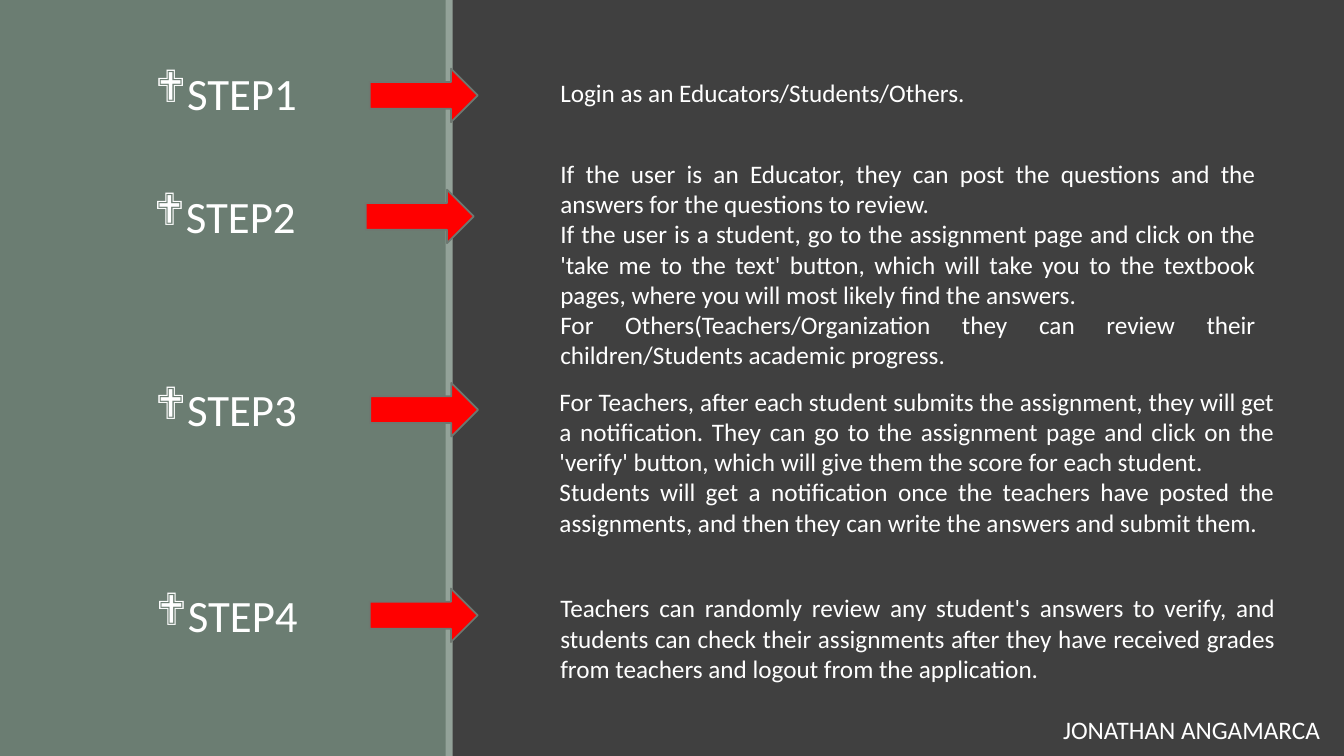
"""Build the four-step user guide slide."""
from lxml.etree import SubElement
from pptx import Presentation
from pptx.dml.color import RGBColor
from pptx.enum.shapes import MSO_SHAPE as Preset
from pptx.enum.text import PP_ALIGN as Align
from pptx.oxml.ns import qn
from pptx.util import Cm, Pt

FONT = "Calibri"
CHARCOAL = RGBColor(0x40, 0x40, 0x40)
SAGE = RGBColor(0x6B, 0x7D, 0x72)
PALE_SAGE = RGBColor(0x93, 0xA2, 0x99)
ARROW_EDGE = RGBColor(0x6D, 0x78, 0x71)
RED = RGBColor(0xFF, 0x00, 0x00)
WHITE = RGBColor(0xFF, 0xFF, 0xFF)

STEPS = [
    {"name": "STEP1", "label": (3.66, 1.52), "arrow": (9.32, 1.73),
     "details": (13.87, 1.83, 13.46, 1.02), "align": Align.LEFT,
     "lines": ["Login as an Educators/Students/Others."]},
    {"name": "STEP2", "label": (3.63, 4.62), "arrow": (9.22, 4.78),
     "details": (13.87, 3.86, 18.03, 5.64), "align": Align.JUSTIFY,
     "lines": [
         "If the user is an Educator, they can post the questions and the "
         "answers for the questions to review.",
         "If the user is a student, go to the assignment page and click on the "
         "'take me to the text' button, which will take you to the textbook "
         "pages, where you will most likely find the answers.",
         "For Others(Teachers/Organization they can review their "
         "children/Students academic progress."]},
    {"name": "STEP3", "label": (3.66, 9.5), "arrow": (9.33, 9.65),
     "details": (13.85, 9.6, 18.52, 4.11), "align": Align.JUSTIFY,
     "lines": [
         "For Teachers, after each student submits the assignment, they will get "
         "a notification. They can go to the assignment page and click on the "
         "'verify' button, which will give them the score for each student.",
         "Students will get a notification once the teachers have posted the "
         "assignments, and then they can write the answers and submit them."]},
    {"name": "STEP4", "label": (3.68, 14.68), "arrow": (9.32, 14.83),
     "details": (13.87, 14.81, 18.52, 2.57), "align": Align.JUSTIFY,
     "lines": [
         "Teachers can randomly review any student's answers to verify, and "
         "students can check their assignments after they have received grades "
         "from teachers and logout from the application."]},
]
AUTHOR = "JONATHAN ANGAMARCA"
AUTHOR_BOX = (26.54, 17.88, 7.3, 1.02)
LABEL_SIZE = (4.5, 1.63)
ARROW_SIZE = (2.72, 1.35)
BULLET_INDENT = Cm(0.79)
SLIDE_WIDTH, SLIDE_HEIGHT = 33.87, 19.05
PANEL = (0, 0, 11.25, SLIDE_HEIGHT)
PANEL_EDGE = (11.23, 0, 0.18, SLIDE_HEIGHT)


def add_block(slide, preset, box, fill):
    block = slide.shapes.add_shape(preset, *map(Cm, box))
    block.shadow.inherit = False
    block.fill.solid()
    block.fill.fore_color.rgb = fill
    block.line.fill.background()
    return block


def add_arrow(slide, corner):
    arrow = add_block(slide, Preset.RIGHT_ARROW, corner + ARROW_SIZE, RED)
    arrow.line.color.rgb = ARROW_EDGE
    arrow.line.width = Pt(1.25)


def add_bullet(paragraph):
    properties = paragraph._p.get_or_add_pPr()
    properties.set("marL", str(BULLET_INDENT))
    properties.set("indent", str(-BULLET_INDENT))
    SubElement(properties, qn("a:buFont"), typeface="Wingdings")
    SubElement(properties, qn("a:buChar"), char="❖")


def add_text(slide, box, lines, size=18, align=Align.LEFT, bulleted=False):
    frame = slide.shapes.add_textbox(*map(Cm, box)).text_frame
    frame.word_wrap = True
    for index, line in enumerate(lines):
        paragraph = frame.add_paragraph() if index else frame.paragraphs[0]
        paragraph.alignment = align
        if bulleted:
            add_bullet(paragraph)
        run = paragraph.add_run()
        run.text = line
        run.font.name = FONT
        run.font.size = Pt(size)
        run.font.color.rgb = WHITE


def main():
    deck = Presentation()
    deck.slide_width, deck.slide_height = Cm(SLIDE_WIDTH), Cm(SLIDE_HEIGHT)
    slide = deck.slides.add_slide(deck.slide_layouts[6])
    slide.background.fill.solid()
    slide.background.fill.fore_color.rgb = CHARCOAL
    add_block(slide, Preset.RECTANGLE, PANEL, SAGE)
    add_block(slide, Preset.RECTANGLE, PANEL_EDGE, PALE_SAGE)
    for step in STEPS:
        add_text(slide, step["label"] + LABEL_SIZE, [step["name"]], 32, bulleted=True)
        add_arrow(slide, step["arrow"])
        add_text(slide, step["details"], step["lines"], align=step["align"])
    add_text(slide, AUTHOR_BOX, [AUTHOR])
    deck.save("out.pptx")


if __name__ == "__main__":
    main()
